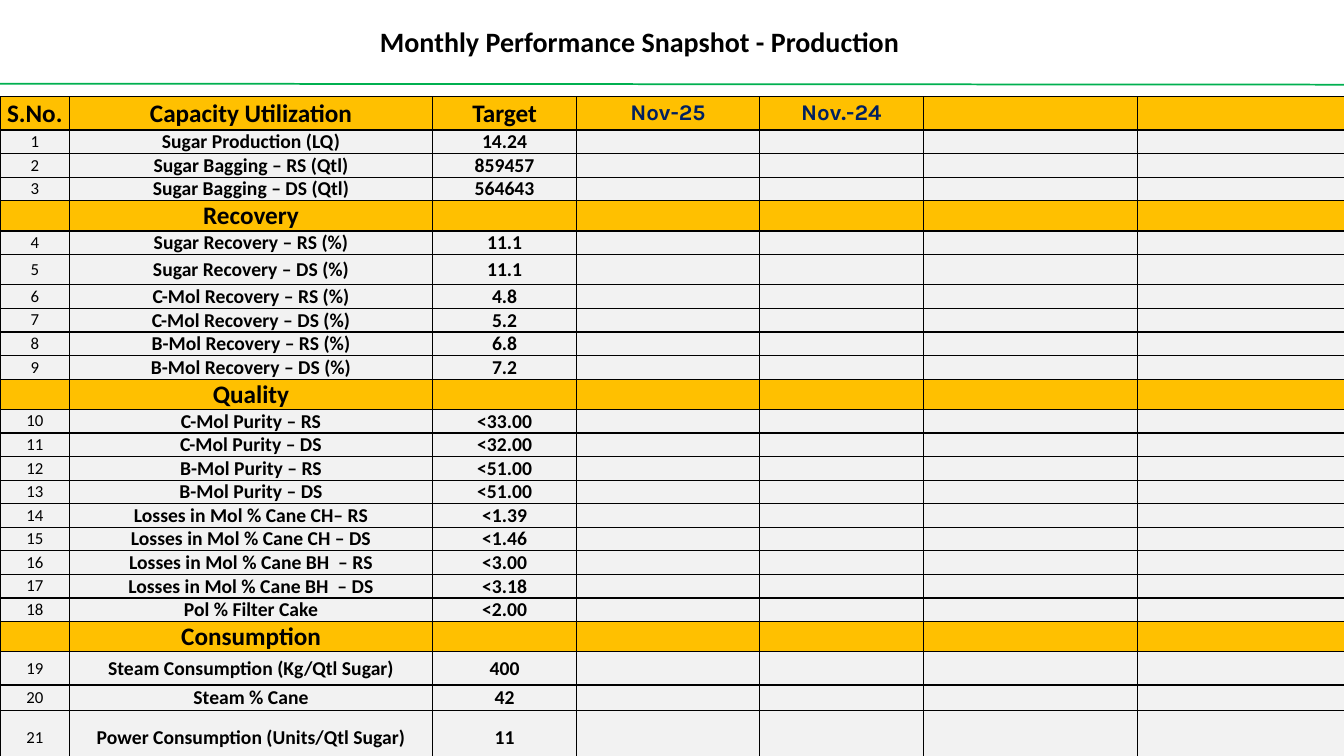
from dataclasses import dataclass

from lxml.etree import SubElement
from pptx import Presentation
from pptx.dml.color import RGBColor
from pptx.enum.shapes import MSO_CONNECTOR as Connector
from pptx.enum.text import MSO_ANCHOR as Anchor, PP_ALIGN as Align
from pptx.oxml.ns import qn
from pptx.util import Inches, Pt


@dataclass(frozen=True)
class TextStyle:
    size: int
    bold: bool = True
    font: str = "Calibri"
    color: str = "000000"


@dataclass(frozen=True)
class Theme:
    rule: str = "00B050"
    band: str = "FFC000"
    body: str = "F2F2F2"
    border: str = "000000"
    title: TextStyle = TextStyle(20)
    heading: TextStyle = TextStyle(18)
    month: TextStyle = TextStyle(16, font="Karla", color="002060")
    metric: TextStyle = TextStyle(14)
    number: TextStyle = TextStyle(12, bold=False)


# Table content: section heading, then (metric, target) pairs
SECTIONS = [
    ("Capacity Utilization", [
        ("Sugar Production (LQ)", "14.24"),
        ("Sugar Bagging – RS (Qtl)", "859457"),
        ("Sugar Bagging – DS (Qtl)", "564643"),
    ]),
    ("Recovery", [
        ("Sugar Recovery – RS (%)", "11.1"),
        ("Sugar Recovery – DS (%)", "11.1"),
        ("C-Mol Recovery – RS (%)", "4.8"),
        ("C-Mol Recovery – DS (%)", "5.2"),
        ("B-Mol Recovery – RS (%)", "6.8"),
        ("B-Mol Recovery – DS (%)", "7.2"),
    ]),
    ("Quality", [
        ("C-Mol Purity – RS", "<33.00"),
        ("C-Mol Purity – DS", "<32.00"),
        ("B-Mol Purity – RS", "<51.00"),
        ("B-Mol Purity – DS", "<51.00"),
        ("Losses in Mol % Cane CH– RS", "<1.39"),
        ("Losses in Mol % Cane CH – DS", "<1.46"),
        ("Losses in Mol % Cane BH  – RS", "<3.00"),
        ("Losses in Mol % Cane BH  – DS", "<3.18"),
        ("Pol % Filter Cake", "<2.00"),
    ]),
    ("Consumption", [
        ("Steam Consumption (Kg/Qtl Sugar)", "400"),
        ("Steam % Cane", "42"),
        ("Power Consumption (Units/Qtl Sugar)", "11"),
    ]),
]
COLUMN_WIDTHS = [0.69, 3.6, 1.43, 1.81, 1.63, 2.12, 2.06]
HEADER_HEIGHT, SECTION_HEIGHT, METRIC_HEIGHT = 0.33, 0.29, 0.22
TALL_METRICS = {5: 0.3, 19: 0.33, 20: 0.25, 21: 0.54}


class SlideBuilder:
    def __init__(self, slide, theme):
        self.slide = slide
        self.theme = theme

    def style_paragraph(self, paragraph, style):
        font = paragraph.font
        font.name, font.size, font.bold = style.font, Pt(style.size), style.bold
        font.color.rgb = RGBColor.from_string(style.color)

    def rule(self, x1, y1, x2, y2):
        line = self.slide.shapes.add_connector(
            Connector.STRAIGHT, Inches(x1), Inches(y1), Inches(x2), Inches(y2))
        line.line.color.rgb = RGBColor.from_string(self.theme.rule)
        line.line.width = Pt(1.25)
        SubElement(line._element.spPr, qn("a:effectLst"))

    def text(self, left, top, width, height, words, style):
        box = self.slide.shapes.add_textbox(
            Inches(left), Inches(top), Inches(width), Inches(height))
        box.text_frame.word_wrap = True
        paragraph = box.text_frame.paragraphs[0]
        paragraph.text = words
        self.style_paragraph(paragraph, style)

    def cell(self, cell, fill, words="", style=None):
        cell.margin_left = cell.margin_right = 0
        cell.margin_top = cell.margin_bottom = 0
        cell.vertical_anchor = Anchor.MIDDLE
        properties = cell._tc.get_or_add_tcPr()
        for side in ("lnL", "lnR", "lnT", "lnB"):
            border = SubElement(properties, qn(f"a:{side}"), w=str(Pt(1)))
            solid = SubElement(border, qn("a:solidFill"))
            SubElement(solid, qn("a:srgbClr"), val=self.theme.border)
        cell.fill.solid()
        cell.fill.fore_color.rgb = RGBColor.from_string(fill)
        paragraph = cell.text_frame.paragraphs[0]
        if words:
            paragraph.text = words
            paragraph.alignment = Align.CENTER
            self.style_paragraph(paragraph, style)
        else:
            # A small end mark keeps empty cells from stretching the row
            SubElement(paragraph._p, qn("a:endParaRPr"), sz="1200")

    def table(self, left, top, widths, rows):
        """Each row is (height, fill, [(words, style), ...])."""
        height = sum(row[0] for row in rows)
        frame = self.slide.shapes.add_table(
            len(rows), len(widths), Inches(left), Inches(top),
            Inches(sum(widths)), Inches(height))
        table = frame.table
        for column, width in zip(table.columns, widths):
            column.width = Inches(width)
        for row, (row_height, fill, entries) in zip(table.rows, rows):
            row.height = Inches(row_height)
            blanks = [("", None)] * (len(widths) - len(entries))
            for cell, entry in zip(row.cells, entries + blanks):
                self.cell(cell, fill, *entry)


def performance_rows(theme):
    rows = []
    number = 0
    for title, metrics in SECTIONS:
        if not rows:
            entries = [(words, theme.heading) for words in ("S.No.", title, "Target")]
            entries += [(month, theme.month) for month in ("Nov-25", "Nov.-24")]
            rows.append((HEADER_HEIGHT, theme.band, entries))
        else:
            rows.append((SECTION_HEIGHT, theme.band,
                         [("", None), (title, theme.heading)]))
        for metric, target in metrics:
            number += 1
            rows.append((TALL_METRICS.get(number, METRIC_HEIGHT), theme.body, [
                (str(number), theme.number),
                (metric, theme.metric),
                (target, theme.metric),
            ]))
    return rows


def main():
    presentation = Presentation()
    presentation.slide_width = Inches(13.33)
    presentation.slide_height = Inches(7.5)
    slide = presentation.slides.add_slide(presentation.slide_layouts[6])
    theme = Theme()
    builder = SlideBuilder(slide, theme)

    # Title and rule
    builder.rule(0, 0.83, 13.33, 0.84)
    builder.text(3.67, 0.19, 7, 0.74,
                 "Monthly Performance Snapshot - Production", theme.title)

    # Performance table
    builder.table(0, 0.96, COLUMN_WIDTHS, performance_rows(theme))

    presentation.save("out.pptx")


if __name__ == "__main__":
    main()
